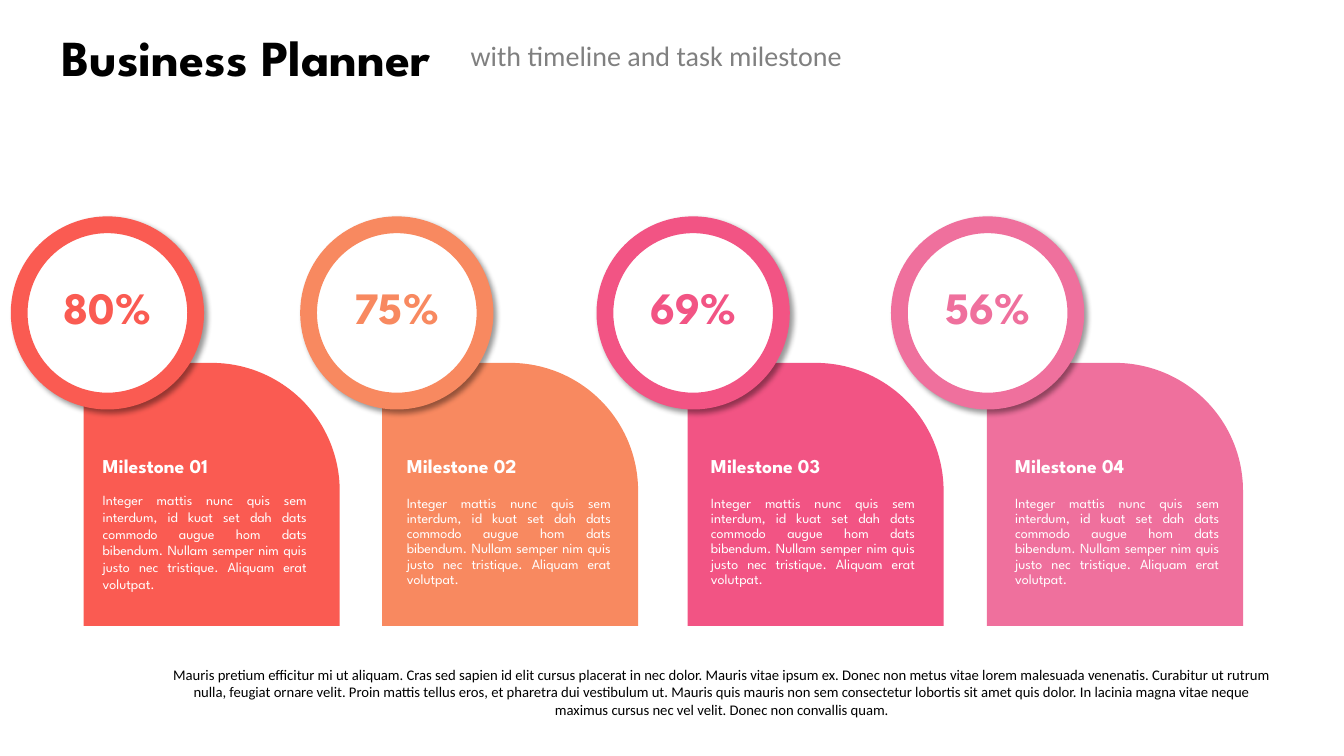
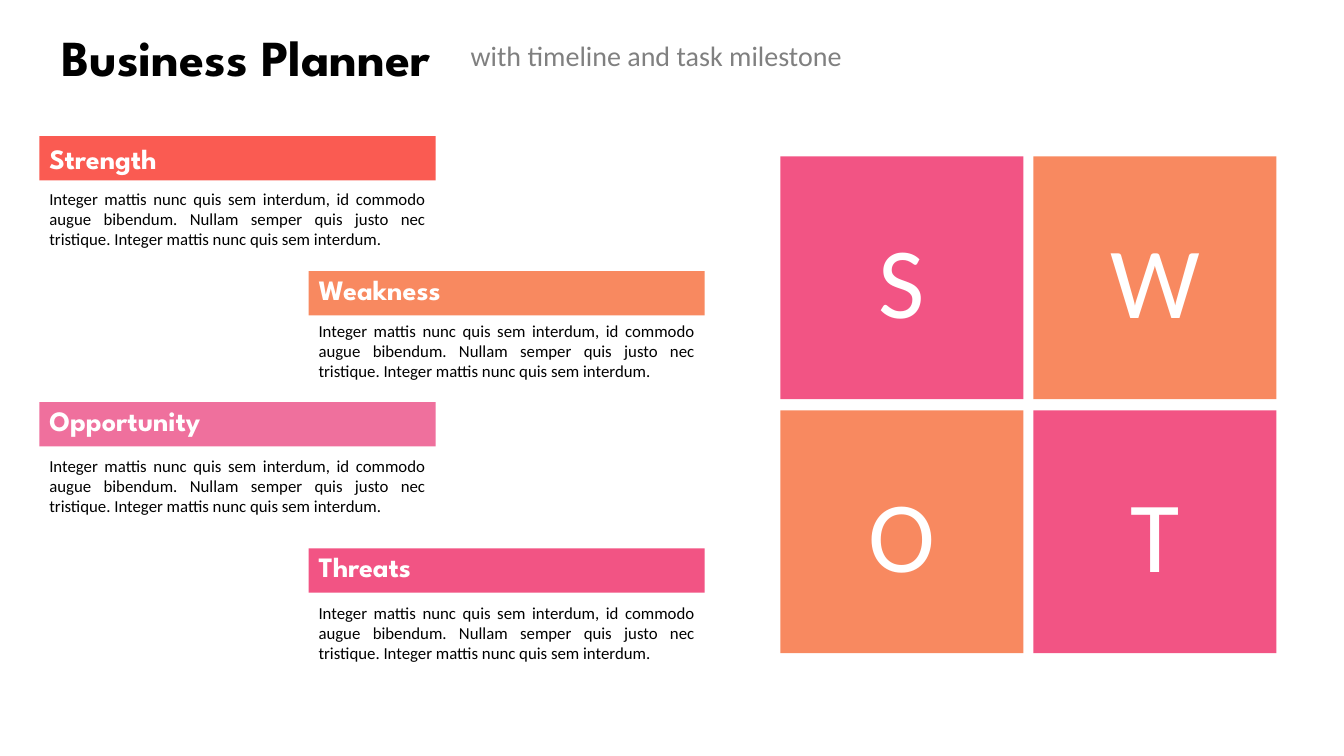
from dataclasses import dataclass
from typing import NamedTuple

from lxml.etree import SubElement
from pptx import Presentation
from pptx.dml.color import RGBColor
from pptx.enum.shapes import MSO_SHAPE
from pptx.enum.text import MSO_ANCHOR, MSO_AUTO_SIZE, PP_ALIGN
from pptx.oxml.ns import qn
from pptx.util import Inches, Pt

SLIDE_W, SLIDE_H = Inches(13.33), Inches(7.5)
TITLE_ONLY = 5
DISPLAY, BODY = "League Spartan", "Calibri"
COLORS = {
    "coral": "FA5B52",
    "orange": "F88960",
    "pink": "F25484",
    "rose": "EF709D",
    "white": "FFFFFF",
    "black": "000000",
    "grey": "808080",
}

MILESTONE_TEXT = (
    "Integer mattis nunc quis sem interdum, id kuat set dah dats commodo augue "
    "hom dats bibendum. Nullam semper nim quis justo nec tristique. Aliquam erat volutpat."
)
SUMMARY = (
    "Mauris pretium efficitur mi ut aliquam. Cras sed sapien id elit cursus placerat "
    "in nec dolor. Mauris vitae ipsum ex. Donec non metus vitae lorem malesuada "
    "venenatis. Curabitur ut rutrum nulla, feugiat ornare velit. Proin mattis tellus "
    "eros, et pharetra dui vestibulum ut. Mauris quis mauris non sem consectetur "
    "lobortis sit amet quis dolor. In lacinia magna vitae neque maximus cursus nec "
    "vel velit. Donec non convallis quam."
)
SWOT_TEXT = (
    "Integer mattis nunc quis sem interdum, id commodo augue bibendum. Nullam semper "
    "quis justo nec tristique. Integer mattis nunc quis sem interdum."
)


class Box(NamedTuple):
    """A frame in percent of the slide's width and height."""
    left: float
    top: float
    width: float
    height: float

    def emu(self) -> tuple[int, int, int, int]:
        return (
            int(SLIDE_W * self.left / 100),
            int(SLIDE_H * self.top / 100),
            int(SLIDE_W * self.width / 100),
            int(SLIDE_H * self.height / 100),
        )


@dataclass(frozen=True)
class Style:
    size: float
    font: str = BODY
    color: str = "black"
    bold: bool = False
    align: PP_ALIGN = PP_ALIGN.LEFT
    anchor: MSO_ANCHOR = MSO_ANCHOR.TOP
    spacing: float = 1.0


@dataclass(frozen=True)
class Milestone:
    label: str
    percent: str
    color: str
    card_left: float
    badge_left: float
    spacing: float = 0.9


@dataclass(frozen=True)
class Factor:
    label: str
    color: str
    left: float
    bar_top: float
    text_top: float
    anchor: MSO_ANCHOR = MSO_ANCHOR.TOP
    spacing: float = 0.9


MILESTONES = (
    Milestone("Milestone 01", "80%", "coral", 6.23, 1.43, spacing=1.0),
    Milestone("Milestone 02", "75%", "orange", 28.43, 22.96),
    Milestone("Milestone 03", "69%", "pink", 51.16, 45.01),
    Milestone("Milestone 04", "56%", "rose", 73.44, 66.92),
)
FACTORS = (
    Factor("Strength", "coral", 2.93, 18, 24.27, MSO_ANCHOR.MIDDLE, 1.0),
    Factor("Weakness", "orange", 22.96, 35.87, 41.73),
    Factor("Opportunity", "rose", 2.93, 53.2, 59.6),
    Factor("Threats", "pink", 22.96, 72.53, 79.07),
)
SWOT_GRID = (
    (("S", "pink"), ("W", "orange")),
    (("O", "orange"), ("T", "pink")),
)


def rgb(color: str) -> RGBColor:
    return RGBColor.from_string(COLORS[color])


def write(shape, text: str, style: Style) -> None:
    frame = shape.text_frame
    frame.word_wrap = True
    frame.auto_size = MSO_AUTO_SIZE.NONE
    frame.vertical_anchor = style.anchor
    paragraph = frame.paragraphs[0]
    paragraph.alignment = style.align
    paragraph.line_spacing = style.spacing
    run = paragraph.add_run()
    run.text = text
    run.font.name = style.font
    run.font.size = Pt(style.size)
    run.font.bold = style.bold
    run.font.color.rgb = rgb(style.color)


def add_text(slide, box: Box, text: str, style: Style) -> None:
    write(slide.shapes.add_textbox(*box.emu()), text, style)


def add_block(shapes, preset: MSO_SHAPE, box: Box, color: str):
    """Add a flat, borderless shape."""
    block = shapes.add_shape(preset, *box.emu())
    block.shadow.inherit = False
    block.fill.solid()
    block.fill.fore_color.rgb = rgb(color)
    block.line.fill.background()
    return block


def cast_shadow(shape) -> None:
    effects = shape._element.spPr.find(qn("a:effectLst"))
    shadow = SubElement(
        effects, qn("a:outerShdw"), blurRad=str(Pt(4)), dist=str(Pt(3)),
        dir=str(45 * 60000), algn="tl", rotWithShape="0",
    )
    black = SubElement(shadow, qn("a:srgbClr"), val=COLORS["black"])
    SubElement(black, qn("a:alpha"), val="40000")


def add_planner_slide(deck):
    """Add a slide with the title and tagline that all slides share."""
    slide = deck.slides.add_slide(deck.slide_layouts[TITLE_ONLY])
    title = slide.shapes.title
    title.left, title.top, title.width, title.height = Box(2.4, 3.47, 31.81, 8).emu()
    write(title, "Business Planner", Style(
        36, DISPLAY, bold=True, align=PP_ALIGN.CENTER, anchor=MSO_ANCHOR.MIDDLE))
    add_text(slide, Box(34.28, 4.4, 35.26, 5.87), "with timeline and task milestone",
             Style(20, color="grey", anchor=MSO_ANCHOR.MIDDLE))
    return slide


def add_milestone(slide, index: int, item: Milestone) -> None:
    add_card = add_block(slide.shapes, MSO_SHAPE.ROUND_1_RECTANGLE,
                         Box(item.card_left, 48, 19.05, 34.8), item.color)
    add_card.adjustments[0] = 0.5

    badge_width, percent_width = 13.13, 8.18
    badge = add_block(slide.shapes, MSO_SHAPE.OVAL,
                      Box(item.badge_left, 29.73, badge_width, 23.33), "white")
    badge.line.color.rgb = rgb(item.color)
    badge.line.width = Pt(12)
    cast_shadow(badge)
    percent_left = item.badge_left + (badge_width - percent_width) / 2
    add_text(slide, Box(percent_left, 37.2, percent_width, 8.53), item.percent, Style(
        32, DISPLAY, item.color, True, PP_ALIGN.CENTER, spacing=0.9))

    text_left, text_width = 6.9 + index * 22.63, 16.65
    add_text(slide, Box(text_left, 59.73, text_width, 4.53), item.label, Style(
        14, DISPLAY, "white", True, PP_ALIGN.JUSTIFY, spacing=0.9))
    add_text(slide, Box(text_left, 64.27, text_width, 14.8), MILESTONE_TEXT, Style(
        10, DISPLAY, "white", align=PP_ALIGN.JUSTIFY, anchor=MSO_ANCHOR.MIDDLE,
        spacing=item.spacing))


def add_factor(slide, factor: Factor) -> None:
    width, height = 29.48, 5.87
    add_text(slide, Box(factor.left, factor.text_top, width, height), SWOT_TEXT,
             Style(12, align=PP_ALIGN.JUSTIFY))
    bar = add_block(slide.shapes, MSO_SHAPE.RECTANGLE,
                    Box(factor.left, factor.bar_top, width, height), factor.color)
    write(bar, factor.label, Style(20, DISPLAY, "white", True,
                                   anchor=factor.anchor, spacing=factor.spacing))


def add_swot_grid(slide) -> None:
    tiles = slide.shapes.add_group_shape().shapes
    letter_style = Style(72, color="white", align=PP_ALIGN.CENTER, anchor=MSO_ANCHOR.MIDDLE)
    for row, cells in enumerate(SWOT_GRID):
        for column, (letter, color) in enumerate(cells):
            box = Box(58.06 + column * 18.83, 20.67 + row * 33.6, 18.08, 32.13)
            write(add_block(tiles, MSO_SHAPE.RECTANGLE, box, color), letter, letter_style)


def build_milestones(deck) -> None:
    slide = add_planner_slide(deck)
    for index, item in enumerate(MILESTONES):
        add_milestone(slide, index, item)
    add_text(slide, Box(12.08, 87.47, 83.27, 8.13), SUMMARY, Style(
        10.5, align=PP_ALIGN.CENTER, anchor=MSO_ANCHOR.MIDDLE))


def build_swot(deck) -> None:
    slide = add_planner_slide(deck)
    add_swot_grid(slide)
    for factor in FACTORS:
        add_factor(slide, factor)


def main() -> None:
    deck = Presentation()
    deck.slide_width, deck.slide_height = SLIDE_W, SLIDE_H
    build_milestones(deck)
    build_swot(deck)
    deck.save("out.pptx")


if __name__ == "__main__":
    main()
